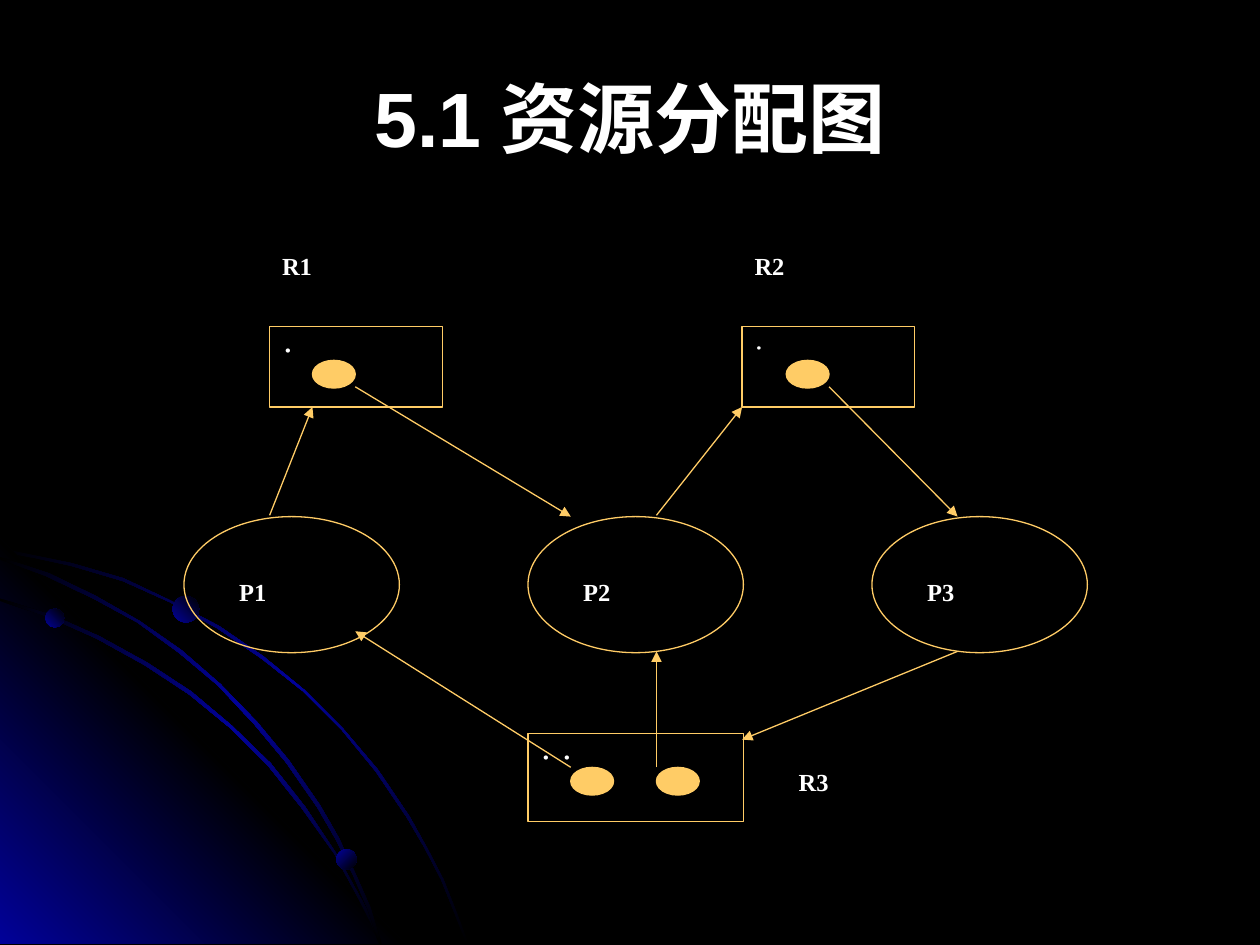
"""Build the resource allocation graph slide."""
from lxml import etree
from pptx import Presentation, util as u
from pptx.dml.color import RGBColor
from pptx.enum import shapes, text
from pptx.oxml import parse_xml
from pptx.oxml.ns import nsdecls, qn

TITLE = "5.1\t资源分配图"
BLACK, WHITE, BLUE, GOLD = "000000", "FFFFFF", "010199", "FFCC66"
SERIF = "Times New Roman"

FADE = [(0, BLACK), (50, BLUE), (100, BLACK)]
GLOW = [(0, BLUE), (50, BLACK), (100, BLUE)]
BALL = [(0, BLUE), (100, BLACK)]

# Outline points are hundredths of an inch
SWOOSHES = [
    (FADE, 45, [(57, 447), (28, 441), (0, 435), (0, 438), (28, 443), (56, 449), (97, 461),
                (135, 478), (173, 499), (208, 523), (241, 549), (271, 579), (298, 612),
                (323, 649), (337, 673), (350, 698), (360, 723), (370, 749), (372, 749),
                (362, 723), (352, 698), (339, 673), (325, 648), (300, 611), (272, 578),
                (242, 548), (209, 521), (174, 497), (136, 477), (98, 459)]),
    (GLOW, 315, [(322, 749), (0, 749), (0, 427)]),
    (FADE, 45, [(285, 714), (294, 732), (301, 749), (303, 749), (296, 730), (286, 712),
                (266, 676), (242, 640), (215, 606), (184, 576), (152, 549), (117, 526),
                (79, 505), (41, 488), (0, 475), (0, 477), (39, 490), (77, 507), (115, 528),
                (150, 551), (183, 578), (213, 608), (240, 642), (265, 677)]),
    (FADE, 45, [(0, 442), (0, 444), (36, 457), (74, 475), (109, 494), (142, 518), (173, 544),
                (202, 575), (227, 605), (252, 641), (267, 667), (280, 694), (292, 722),
                (301, 749), (303, 749), (294, 720), (282, 693), (269, 665), (254, 639),
                (229, 603), (204, 573), (175, 543), (144, 516), (111, 493), (76, 473),
                (39, 455)]),
]
BALLS = [(0.36, 4.83, 0.15, 315), (2.67, 6.74, 0.16, 45), (1.37, 4.73, 0.21, 315)]

RESOURCES = [
    {"name": "R1", "label": (2.14, 1.94), "box": (2.14, 2.59, 1.37, 0.64),
     "mark": "．", "size": 12, "units": [(2.48, 2.86)]},
    {"name": "R2", "label": (5.89, 1.94), "box": (5.89, 2.59, 1.37, 0.64),
     "mark": "．", "size": 10, "units": [(6.24, 2.86)]},
    {"name": "R3", "label": (6.24, 6.04), "box": (4.19, 5.82, 1.71, 0.7),
     "mark": "．．", "size": 12, "units": [(4.53, 6.09), (5.21, 6.09)]},
]
PROCESSES = ["P1", "P2", "P3"]
PROCESS_LEFT, PROCESS_TOP, PROCESS_STEP = 1.46, 4.1, 2.73
EDGES = [
    (2.14, 4.09, 2.48, 3.23), (2.82, 3.07, 4.53, 4.1), (5.21, 4.09, 5.89, 3.23),
    (6.58, 3.07, 7.6, 4.1), (4.53, 6.09, 2.82, 5.01), (5.21, 6.09, 5.21, 5.17),
    (7.6, 5.17, 5.89, 5.87),
]


def inches(*values):
    return [u.Cm(2.54 * value) for value in values]


def color(target, value):
    target.rgb = RGBColor.from_string(value)


def outline(part):
    color(part.line.color, GOLD)
    part.line.width = u.Pt(0.75)


def gradient(part, stops, angle):
    part.shadow.inherit = False
    part.line.fill.background()
    colors = "".join(f'<a:gs pos="{pos * 1000}"><a:srgbClr val="{value}"/></a:gs>'
                     for pos, value in stops)
    fill = parse_xml(f'<a:gradFill {nsdecls("a")} rotWithShape="1"><a:gsLst>{colors}</a:gsLst>'
                     f'<a:lin ang="{angle * 60000}" scaled="0"/></a:gradFill>')
    part.fill.background()
    properties = part.element.spPr
    properties.replace(properties.find(qn("a:noFill")), fill)


def write(frame, words, size, font=SERIF, align=text.PP_ALIGN.LEFT, anchor=text.MSO_ANCHOR.TOP):
    frame.word_wrap = True
    frame.vertical_anchor = anchor
    frame.text = words
    paragraph = frame.paragraphs[0]
    paragraph.alignment = align
    paragraph.font.name, paragraph.font.size, paragraph.font.bold = font, u.Pt(size), True
    color(paragraph.font.color, WHITE)


def add_label(slide, words, left, top, width):
    write(slide.shapes.add_textbox(*inches(left, top, width, 0.43)).text_frame, words, 14)


def add_outlined(slide, kind, place, fill=None):
    part = slide.shapes.add_shape(kind, *inches(*place))
    part.shadow.inherit = False
    outline(part)
    if fill:
        part.fill.solid()
        color(part.fill.fore_color, fill)
    else:
        part.fill.background()
    return part


def add_edge(slide, ends):
    edge = slide.shapes.add_connector(shapes.MSO_CONNECTOR.STRAIGHT, *inches(*ends))
    outline(edge)
    etree.SubElement(edge.line._get_or_add_ln(), qn("a:tailEnd"), type="triangle")
    etree.SubElement(edge.element.spPr, qn("a:effectLst"))


def add_backdrop(slide):
    slide.background.fill.solid()
    color(slide.background.fill.fore_color, BLACK)
    for stops, angle, points in SWOOSHES:
        builder = slide.shapes.build_freeform(*points[0], scale=u.Cm(2.54) / 100)
        builder.add_line_segments(points[1:], close=True)
        gradient(builder.convert_to_shape(), stops, angle)
    for left, top, size, angle in BALLS:
        ball = slide.shapes.add_shape(shapes.MSO_SHAPE.OVAL, *inches(left, top, size, size))
        gradient(ball, BALL, angle)


def add_title(slide):
    title = slide.shapes.title
    title.left, title.top, title.width, title.height = inches(0.5, 0.3, 9, 1.25)
    tabs = etree.SubElement(title.text_frame.paragraphs[0]._p.get_or_add_pPr(), qn("a:tabLst"))
    for stop in inches(*range(8)):
        etree.SubElement(tabs, qn("a:tab"), pos=str(int(stop)), algn="l")
    write(title.text_frame, TITLE, 44, "Arial", text.PP_ALIGN.CENTER, text.MSO_ANCHOR.MIDDLE)


def add_graph(slide):
    for resource in RESOURCES:
        add_label(slide, resource["name"], *resource["label"], 1.37)
        box = add_outlined(slide, shapes.MSO_SHAPE.RECTANGLE, resource["box"])
        write(box.text_frame, resource["mark"], resource["size"], align=text.PP_ALIGN.JUSTIFY)
    for index, process in enumerate(PROCESSES):
        left = PROCESS_LEFT + index * PROCESS_STEP
        add_outlined(slide, shapes.MSO_SHAPE.OVAL, (left, PROCESS_TOP, 1.71, 1.08))
        add_label(slide, process, left + 0.34, PROCESS_TOP + 0.43, 1.02)
    for ends in EDGES:
        add_edge(slide, ends)
    for resource in RESOURCES:
        for unit in resource["units"]:
            add_outlined(slide, shapes.MSO_SHAPE.OVAL, (*unit, 0.34, 0.22), GOLD)


def main():
    deck = Presentation()
    deck.slide_width, deck.slide_height = inches(10, 7.5)
    slide = deck.slides.add_slide(deck.slide_layouts[5])
    add_backdrop(slide)
    add_title(slide)
    add_graph(slide)
    deck.save("out.pptx")


if __name__ == "__main__":
    main()
